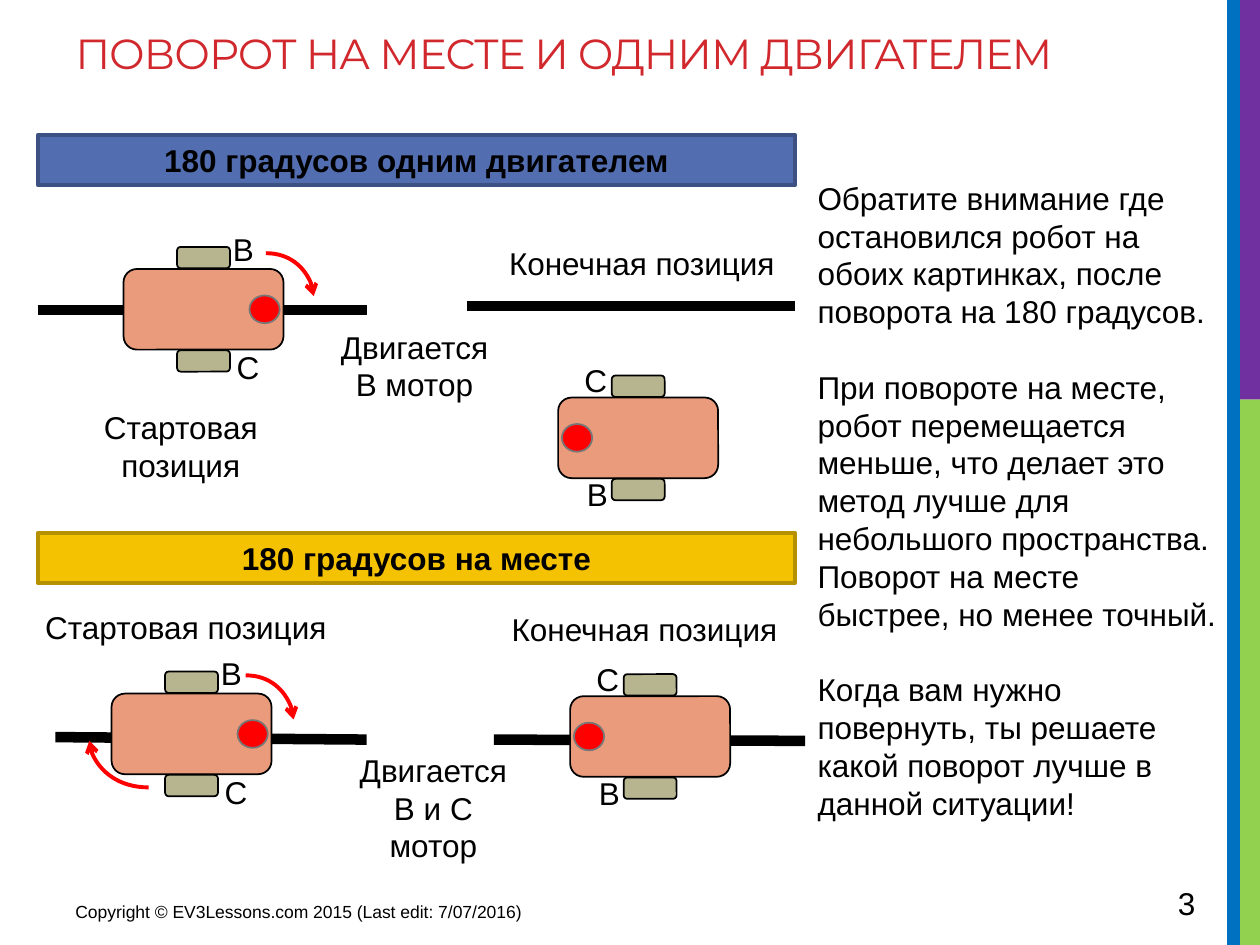
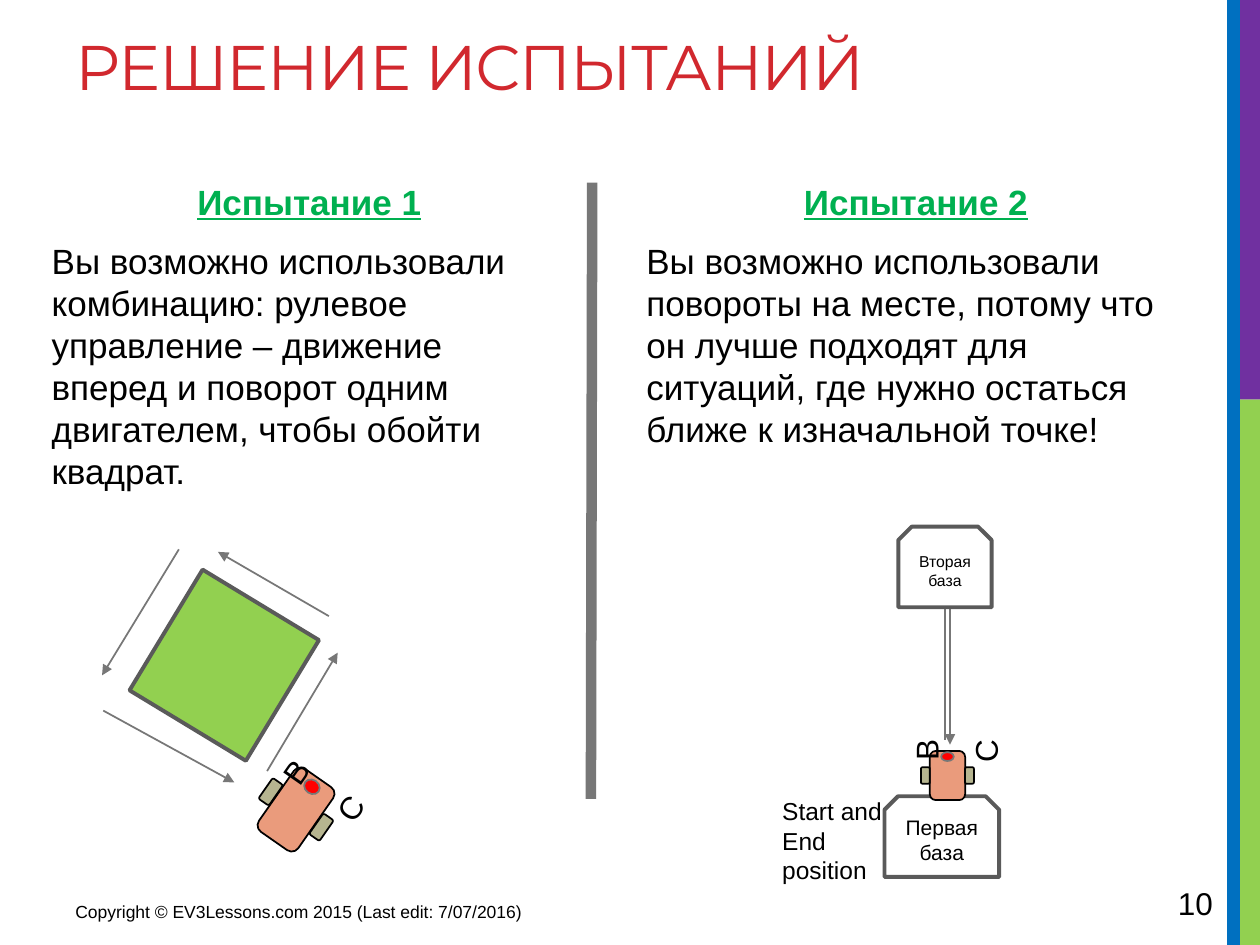
import math

import pptx
import pptx.dml.color
import pptx.enum.shapes
import pptx.enum.text
import pptx.oxml
import pptx.oxml.ns
import pptx.util

COLS, ROWS = 100, 75
CELL = pptx.util.Inches(10) // COLS

COLORS = {
    "title": "D1282E", "text": "000000", "heading": "00B050", "white": "FFFFFF",
    "green": "92D050", "purple": "7030A0", "blue": "0070C0",
    "one_motor": "526DB0", "one_motor_line": "3D5182",
    "on_spot": "F5C201", "on_spot_line": "B59001",
    "body": "EA9B7C", "wheel": "B6B590", "light": "FF0000",
    "gray": "777777", "dark": "5A5A5A",
}

SHAPE = pptx.enum.shapes.MSO_SHAPE
CONNECTOR = pptx.enum.shapes.MSO_CONNECTOR
LEFT = pptx.enum.text.PP_ALIGN.LEFT
CENTER = pptx.enum.text.PP_ALIGN.CENTER
TOP = pptx.enum.text.MSO_ANCHOR.TOP
FIXED = pptx.enum.text.MSO_AUTO_SIZE.NONE
GROW = pptx.enum.text.MSO_AUTO_SIZE.SHAPE_TO_FIT_TEXT

BIG = {"body": (6.4, 12.7), "wheel": (1.7, 4.2), "axle": 4.1,
       "light": (2.2, 2.4), "nose": 4.85, "label": (5.1, 3.2)}
TILTED = {"body": (3.8, 6.1), "wheel": (1, 2), "axle": 2.45,
          "light": (1.3, 1.1), "nose": 2.2, "label": (2.5, 1.9)}
SMALL = {"body": (2.8, 3.9), "wheel": (0.7, 1.3), "axle": 1.75,
         "light": (1, 0.7), "nose": 1.5, "label": (1.6, 1.4)}

FACING_RIGHT = {"B": (3.9, -5.2), "C": (4.2, 4.2)}
FACING_LEFT = {"B": (-2.5, 4.05), "C": (-2.7, -5)}


def cells(*values):
    return [round(v * CELL) for v in values]


def rgb(name):
    return pptx.dml.color.RGBColor.from_string(COLORS[name])


def apply(target, values):
    for name, value in values.items():
        setattr(target, name, value)


def place(sp, box):
    apply(sp, dict(zip(("left", "top", "width", "height"), cells(*box))))


def style(p, size, color="text", align=LEFT, face="Arial", **font):
    p.alignment = align
    apply(p.font, {"size": pptx.util.Pt(size), "name": face, **font})
    p.font.color.rgb = rgb(color)


def write(sp, paras, size=18, gap=0, fit=None, **fmt):
    tf = sp.text_frame
    apply(tf, {"word_wrap": True, "auto_size": fit})
    for i, text in enumerate(paras):
        p = tf.paragraphs[0] if i == 0 else tf.add_paragraph()
        p.text = text
        if i:
            p.space_before = pptx.util.Pt(gap)
        style(p, size, **fmt)


def label(s, box, *paras, turn=0, fit=GROW, **fmt):
    sp = s.shapes.add_textbox(*cells(*box))
    sp.rotation = turn
    write(sp, paras, fit=fit, **fmt)


def block(s, kind, box, fill, line=None, width=1, turn=0):
    sp = s.shapes.add_shape(kind, *cells(*box))
    sp.shadow.inherit = False
    sp.rotation = turn
    sp.fill.solid()
    sp.fill.fore_color.rgb = rgb(fill)
    if line:
        sp.line.color.rgb = rgb(line)
        sp.line.width = pptx.util.Pt(width)
    else:
        sp.line.fill.background()
    return sp


def line(s, start, end, color="text", width=6, head=None, kind=CONNECTOR.STRAIGHT):
    cx = s.shapes.add_connector(kind, *cells(*start, *end))
    cx.line.color.rgb = rgb(color)
    cx.line.width = pptx.util.Pt(width)
    sp_pr = cx.element.spPr
    if head:
        tail = pptx.oxml.parse_xml(
            f'<a:tailEnd {pptx.oxml.ns.nsdecls("a")} type="{head}"/>')
        sp_pr.find(pptx.oxml.ns.qn("a:ln")).append(tail)
    sp_pr.append(pptx.oxml.parse_xml(f'<a:effectLst {pptx.oxml.ns.nsdecls("a")}/>'))
    return cx


def arrow(s, start, end):
    line(s, start, end, "gray", 1, "triangle")


def turn_arrow(s, start, end):
    cx = line(s, start, end, "light", 2.25, "arrow", CONNECTOR.CURVE)
    cx.element.spPr.find(pptx.oxml.ns.qn("a:prstGeom")).set("prst", "curvedConnector2")


def around(x, y, size):
    return x - size[0] / 2, y - size[1] / 2, *size


def robot(s, x, y, model, turn, labels, label_turn=0):
    sin, cos = math.sin(math.radians(turn)), math.cos(math.radians(turn))
    parts = [
        (SHAPE.ROUNDED_RECTANGLE, "body", "text", 0, 0),
        (SHAPE.ROUNDED_RECTANGLE, "wheel", "text", model["axle"], 0),
        (SHAPE.ROUNDED_RECTANGLE, "wheel", "text", -model["axle"], 0),
        (SHAPE.OVAL, "light", "gray", 0, -model["nose"]),
    ]
    for kind, part, edge, dx, dy in parts:
        center = x + dx * cos - dy * sin, y + dx * sin + dy * cos
        block(s, kind, around(*center, model[part]), part, edge, turn=turn)
    for motor, (dx, dy) in labels.items():
        label(s, around(x + dx, y + dy, model["label"]), motor, turn=label_turn)


def base(s, box, name, size):
    sp = block(s, SHAPE.SNIP_2_SAME_RECTANGLE, box, "white", "dark", 2.25)
    write(sp, [name], size, align=CENTER)


def banner(s, top, name, fill):
    sp = block(s, SHAPE.RECTANGLE, (3, top, 60.1, 4), fill, fill + "_line", 2.25)
    write(sp, [name], align=CENTER, bold=True)


def add_bands(prs, s):
    bands = [((98.4, 31.7, 1.6, 43.3), "green"), ((98, 0, 2, 31.7), "purple"),
             ((97.4, 0, 1, ROWS), "blue")]
    for i, (box, color) in enumerate(bands):
        sp = block(s, SHAPE.RECTANGLE, box, color)
        sp.element.nvSpPr.cNvPr.id = 101 + i
        prs.slide_master.shapes.element.append(sp.element)


def add_slide(prs, layout, title, size, number):
    s = prs.slides.add_slide(prs.slide_layouts[layout])
    sp = s.shapes.title
    place(sp, (5, 1.7, 90.2, 15))
    write(sp, [title], size, fit=FIXED, color="title", face="Montserrat")
    sp.text_frame.vertical_anchor = TOP
    sp.text_frame.paragraphs[0].runs[0].font._element.set("spc", "-60")
    label(s, (5, 71, 37.5, 3.1), "Copyright © EV3Lessons.com 2015 (Last edit: 7/07/2016)",
          fit=FIXED, size=10)
    label(s, (92.5, 69.7, 6.9, 4), str(number), fit=FIXED)
    return s


def challenge(sp, box, heading, text):
    place(sp, box)
    write(sp, [heading, text], 20, gap=4, fit=FIXED)
    for p in sp.text_frame.paragraphs:
        p.space_after = pptx.util.Pt(6)
        p_pr = p._p.get_or_add_pPr()
        p_pr.set("marL", "0")
        p_pr.set("indent", "0")
        bullet = pptx.oxml.parse_xml(f'<a:buNone {pptx.oxml.ns.nsdecls("a")}/>')
        p_pr.insert_element_before(bullet, "a:tabLst", "a:defRPr", "a:extLst")
    style(sp.text_frame.paragraphs[0], 20, "heading", CENTER, bold=True, underline=True)


def turns_slide(prs):
    s = add_slide(prs, 5, "ПОВОРОТ НА МЕСТЕ И ОДНИМ ДВИГАТЕЛЕМ", 24, 3)
    add_bands(prs, s)
    banner(s, 10.7, "180 градусов одним двигателем", "one_motor")
    banner(s, 42.3, "180 градусов на месте", "on_spot")
    for start, end in [((3, 24.6), (29.1, 24.6)), ((37.1, 24.3), (63.1, 24.3)),
                       ((4.4, 58.5), (29.1, 58.7)), ((39.2, 58.7), (63.9, 58.8))]:
        line(s, start, end)
    robot(s, 16.15, 24.55, BIG, 90, FACING_RIGHT)
    robot(s, 50.65, 34.75, BIG, 270, FACING_LEFT)
    robot(s, 15.2, 58.25, BIG, 90, FACING_RIGHT)
    robot(s, 51.6, 58.45, BIG, 270, FACING_LEFT)
    for start, end in [((21.1, 20.1), (24.9, 23.5)), ((19.5, 53.6), (23.3, 57.1)),
                       ((11.8, 62.5), (7.1, 58.8))]:
        turn_arrow(s, start, end)
    for box, text in [((5, 31.9, 18.7, 7.1), "Стартовая позиция"),
                      ((38.8, 18.9, 24.3, 4), "Конечная позиция"),
                      ((25.6, 25.5, 14.6, 7.1), "Двигается B мотор"),
                      ((2.4, 47.8, 24.7, 4), "Стартовая позиция"),
                      ((39.2, 47.9, 23.9, 4), "Конечная позиция"),
                      ((27.1, 59.1, 14.6, 10.1), "Двигается B и C мотор")]:
        label(s, box, text, align=CENTER)
    label(s, (63.9, 13.7, 33.7, 52.5),
          "Обратите внимание где остановился робот на обоих картинках, "
          "после поворота на 180 градусов.",
          "При повороте на месте, робот перемещается меньше, что делает это метод лучше "
          "для небольшого пространства. Поворот на месте быстрее, но менее точный.",
          "Когда вам нужно повернуть, ты решаете какой поворот лучше в данной ситуации!",
          gap=21.6)


def solutions_slide(prs):
    s = add_slide(prs, 3, "РЕШЕНИЕ ИСПЫТАНИЙ", 36, 10)
    challenge(s.placeholders[1], (3.1, 13.8, 42.9, 47.8), "Испытание 1",
              "Вы возможно использовали комбинацию: рулевое управление – движение вперед "
              "и поворот одним двигателем, чтобы обойти квадрат.")
    challenge(s.placeholders[2], (50.3, 13.8, 44.8, 47.8), "Испытание 2",
              "Вы возможно использовали повороты на месте, потому что он лучше подходят "
              "для ситуаций, где нужно остаться ближе к изначальной точке!")
    line(s, (46.9, 63.4), (47, 14.5), "gray")

    block(s, SHAPE.RECTANGLE, (12.2, 47.4, 11.2, 10.8), "green", "dark", 2.25, 301.2)
    robot(s, 23.5, 64.25, TILTED, 34.9, {"B": (-1.25, -3.1), "C": (3.05, -0.2)}, 304.9)
    for start, end in [((14.2, 43.6), (8.1, 53.6)), ((26.1, 48.9), (17.3, 43.8)),
                       ((21.2, 61.2), (26.8, 51.8)), ((8.2, 56.4), (18.6, 62.1))]:
        arrow(s, start, end)

    arrow(s, (75, 58.7), (75, 47.1))
    arrow(s, (75.4, 48.2), (75.4, 59.1))
    label(s, (61.1, 62.7, 10.4, 8.1), "Start and End position", size=14)
    base(s, (70.2, 63.2, 9.1, 6.4), "Первая база", 12)
    robot(s, 75.2, 61.55, SMALL, 0, {"B": (-3, -1.35), "C": (1.7, -1.25)}, 270)
    base(s, (71.3, 41.8, 7.4, 6.4), "Вторая база", 9)


def main():
    prs = pptx.Presentation()
    prs.slide_width, prs.slide_height = COLS * CELL, ROWS * CELL
    turns_slide(prs)
    solutions_slide(prs)
    prs.save("out.pptx")


if __name__ == "__main__":
    main()
